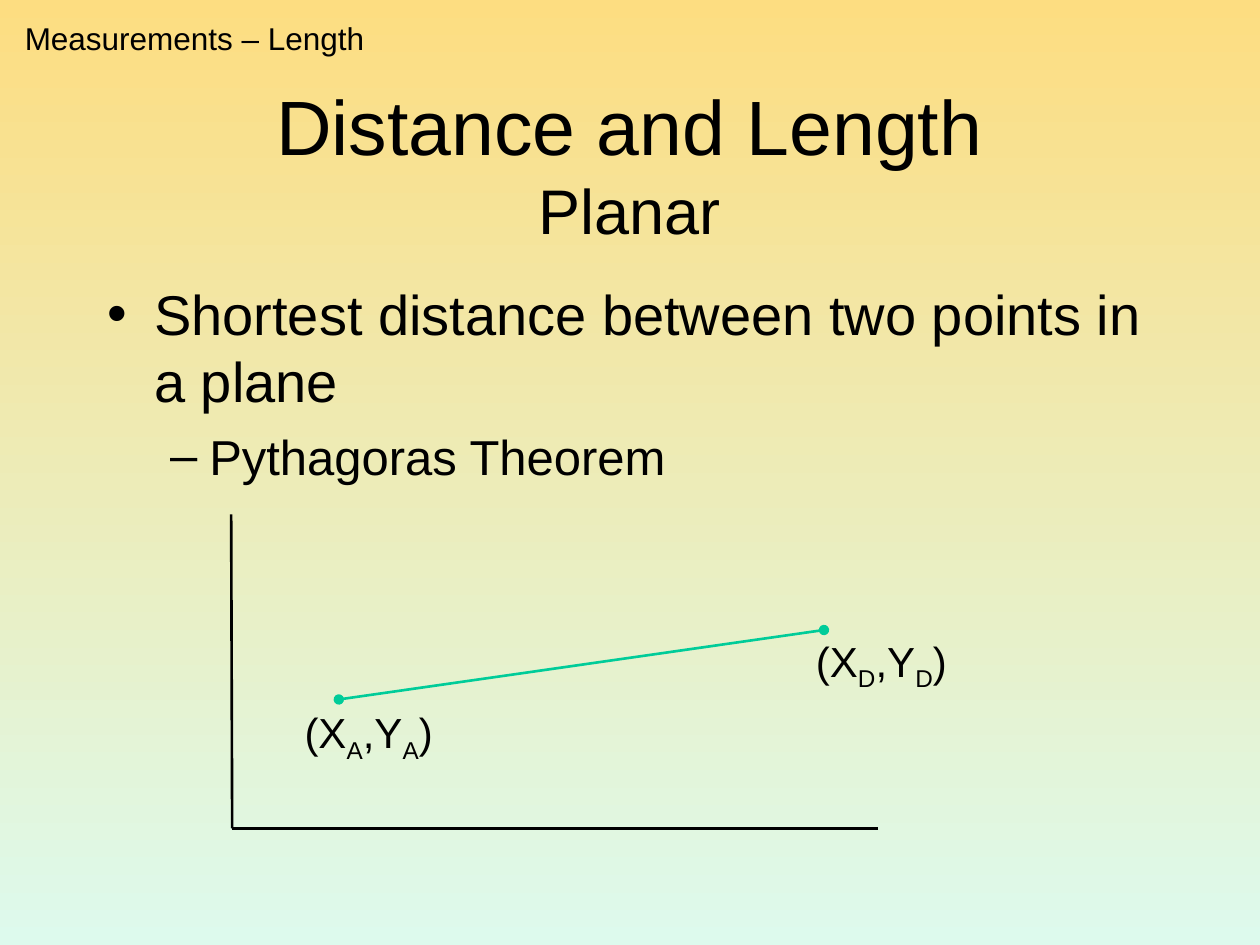
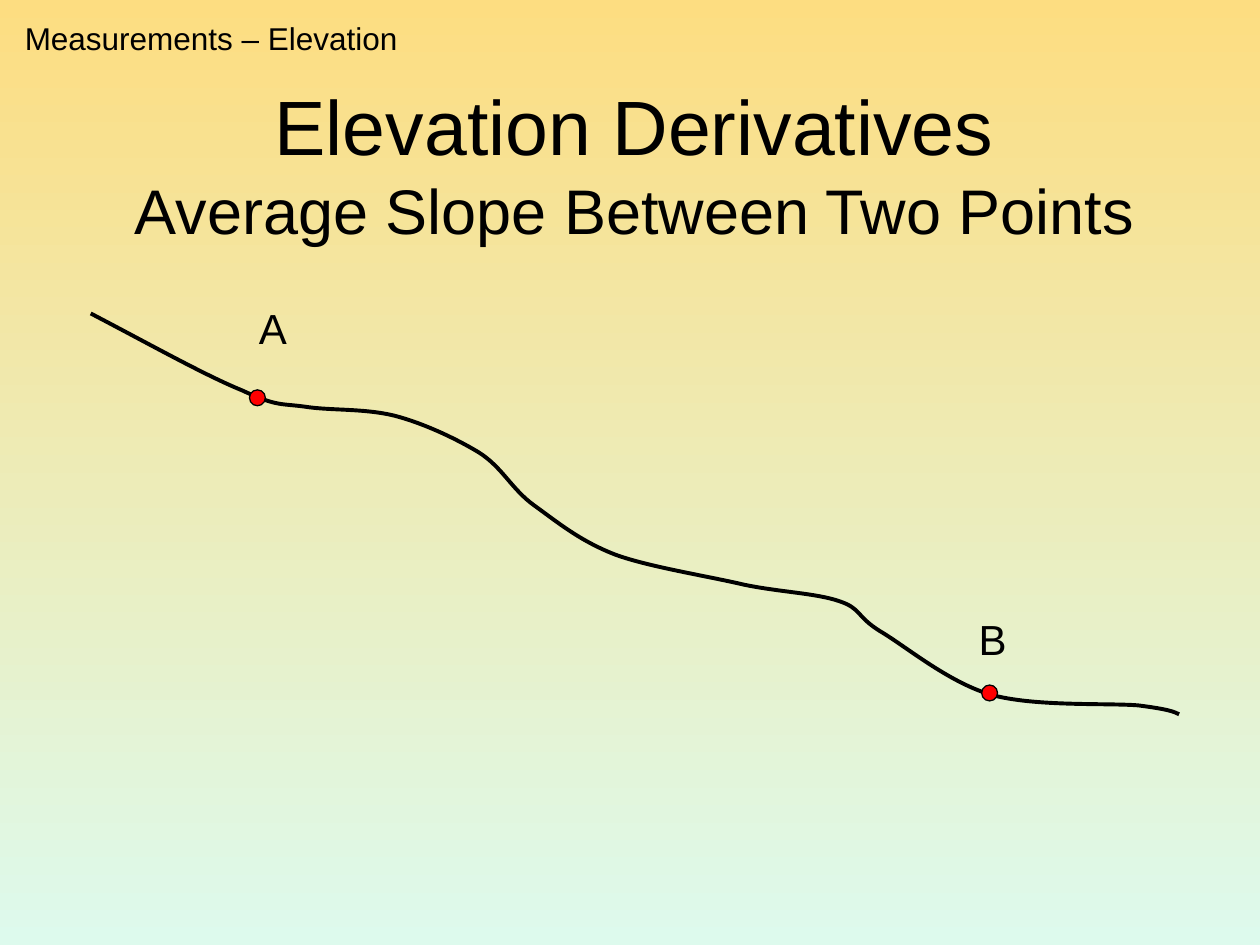
from lxml.etree import SubElement
from pptx import Presentation
from pptx.dml.color import RGBColor
from pptx.enum.shapes import MSO_CONNECTOR, MSO_SHAPE
from pptx.enum.text import MSO_ANCHOR as Anchor, MSO_AUTO_SIZE as AutoSize, PP_ALIGN as Align
from pptx.oxml.ns import qn
from pptx.util import Cm, Pt

# Shared style
BLACK = RGBColor(0x00, 0x00, 0x00)
GREEN = RGBColor(0x00, 0xCC, 0x99)
RED = RGBColor(0xFF, 0x00, 0x00)
SKY_TOP = RGBColor(0xFD, 0xDD, 0x81)
SKY_BOTTOM = RGBColor(0xDD, 0xFA, 0xED)
FONT = "Arial"
TITLE_TOP, TITLE_HEIGHT = 1.69, 3.18
POINT_SIZE = 0.32

# Content; all places and lengths in centimetres
DISTANCE = {
    "section": ("Measurements – Length", 7.38),
    "title": ("Distance and Length", "Planar"),
    "title_span": (1.9, 21.59),
    # text, size, space before, bullet, text margin, hanging indent
    "points": [
        ("Shortest distance between two points in a plane", 32, 8, "•", 0.95, 0.95),
        ("Pythagoras Theorem", 28, 7, "–", 2.06, 0.79),
    ],
    "points_box": (1.91, 5.51, 21.59, 11.43),
    "axes": [((4.66, 10.37), (4.68, 16.7)), ((17.7, 16.7), (4.68, 16.7))],
    "segment": ((6.83, 14.1), (16.61, 12.7)),
    "coordinates": [("A", (5.89, 14.12, 3.1, 1.42)), ("D", (16.2, 12.68, 3.15, 1.42))],
}
SLOPE = {
    "section": ("Measurements – Elevation", 8.03),
    "title": ("Elevation Derivatives", "Average Slope Between Two Points"),
    "title_span": (1.32, 22.94),
    "terrain_start": (1.83, 6.32),
    # two control points and the end point of each bend
    "terrain": [
        ((3.0, 6.93), (4.14, 7.57), (4.88, 7.87)),
        ((5.59, 8.2), (5.64, 8.13), (6.15, 8.2)),
        ((6.65, 8.28), (7.34, 8.23), (7.95, 8.38)),
        ((8.53, 8.53), (9.19, 8.84), (9.65, 9.12)),
        ((10.13, 9.42), (10.31, 9.86), (10.77, 10.19)),
        ((11.23, 10.52), (11.68, 10.9), (12.4, 11.18)),
        ((13.08, 11.43), (14.25, 11.61), (15.01, 11.79)),
        ((15.75, 11.94), (16.46, 11.96), (16.92, 12.12)),
        ((17.37, 12.27), (17.25, 12.42), (17.75, 12.73)),
        ((18.26, 13.03), (19.1, 13.74), (19.96, 14.0)),
        ((20.83, 14.25), (22.3, 14.17), (22.94, 14.22)),
        ((23.57, 14.3), (23.67, 14.35), (23.77, 14.4)),
    ],
    # name, centre of the point, label corner
    "stations": [("A", (5.19, 8.02), (4.97, 5.98)), ("B", (19.95, 13.97), (19.48, 12.25))],
}


def add_run(paragraph, text, size, baseline=0):
    run = paragraph.add_run()
    run.text = text
    run.font.name, run.font.size = FONT, Pt(size)
    run.font.color.rgb = BLACK
    if baseline:
        run._r.get_or_add_rPr().set("baseline", str(baseline * 1000))


def add_text_frame(slide, box, wrap=False, auto_size=AutoSize.SHAPE_TO_FIT_TEXT):
    frame = slide.shapes.add_textbox(*map(Cm, box)).text_frame
    frame.word_wrap, frame.auto_size = wrap, auto_size
    return frame


def add_line(slide, start, end, color, dots=False):
    line = slide.shapes.add_connector(MSO_CONNECTOR.STRAIGHT, *map(Cm, start + end))
    line.line.color.rgb, line.line.width = color, Pt(1.5)
    if dots:
        for tag in ("a:headEnd", "a:tailEnd"):
            SubElement(line.line._get_or_add_ln(), qn(tag), type="oval")
    SubElement(line._element.spPr, qn("a:effectLst"))


def add_topic_slide(deck, topic):
    """Slide with the section tag and the two-line title."""
    slide = deck.slides.add_slide(deck.slide_layouts.get_by_name("Title Only"))
    heading = slide.shapes.title
    left, width = topic["title_span"]
    heading.left, heading.top = Cm(left), Cm(TITLE_TOP)
    heading.width, heading.height = Cm(width), Cm(TITLE_HEIGHT)
    frame = heading.text_frame
    frame.auto_size, frame.vertical_anchor = AutoSize.NONE, Anchor.MIDDLE
    main_title, subtitle = topic["title"]
    paragraph = frame.paragraphs[0]
    paragraph.alignment = Align.CENTER
    add_run(paragraph, main_title, 44)
    paragraph.add_line_break()
    add_run(paragraph, subtitle, 36)

    section, section_width = topic["section"]
    tag = add_text_frame(slide, (0.25, 0.25, section_width, 1.02))
    add_run(tag.paragraphs[0], section, 18)
    return slide


def add_points(slide, points, box):
    frame = add_text_frame(slide, box, True, AutoSize.NONE)
    for level, (text, size, before, bullet, margin, hanging) in enumerate(points):
        paragraph = frame.add_paragraph() if level else frame.paragraphs[0]
        paragraph.level, paragraph.space_before = level, Pt(before)
        properties = paragraph._p.get_or_add_pPr()
        properties.set("marL", str(Cm(margin)))
        properties.set("indent", str(-Cm(hanging)))
        SubElement(properties, qn("a:buFont"), typeface=FONT)
        SubElement(properties, qn("a:buChar"), char=bullet)
        add_run(paragraph, text, size)


def add_curve(slide, start, bends):
    """Freeform through the bend ends, with each side turned into a Bézier bend.

    The start must be the top left corner of the curve.
    """
    outline = slide.shapes.build_freeform(*map(Cm, start))
    outline.add_line_segments([tuple(map(Cm, bend[-1])) for bend in bends], close=False)
    curve = outline.convert_to_shape()
    for side, bend in zip(list(curve._element.iter(qn("a:lnTo"))), bends):
        side.clear()
        bezier = SubElement(side.getparent(), qn("a:cubicBezTo"))
        for x, y in bend:
            SubElement(bezier, qn("a:pt"), x=str(Cm(x) - Cm(start[0])),
                       y=str(Cm(y) - Cm(start[1])))
        side.getparent().replace(side, bezier)
    return curve


def build_distance(deck):
    slide = add_topic_slide(deck, DISTANCE)
    add_points(slide, DISTANCE["points"], DISTANCE["points_box"])
    for start, end in DISTANCE["axes"]:
        add_line(slide, start, end, BLACK)
    for name, box in DISTANCE["coordinates"]:
        label = add_text_frame(slide, box).paragraphs[0]
        for text, baseline in (("(X", 0), (name, -25), (",Y", 0), (name, -25), (")", 0)):
            add_run(label, text, 24, baseline)
    add_line(slide, *DISTANCE["segment"], GREEN, dots=True)


def build_slope(deck):
    slide = add_topic_slide(deck, SLOPE)

    # Terrain profile
    profile = add_curve(slide, SLOPE["terrain_start"], SLOPE["terrain"])
    profile.shadow.inherit = False
    profile.fill.background()
    profile.line.color.rgb, profile.line.width = BLACK, Pt(2.25)

    # Stations on the profile
    for name, (x, y), corner in SLOPE["stations"]:
        half = POINT_SIZE / 2
        dot = slide.shapes.add_shape(
            MSO_SHAPE.OVAL, Cm(x - half), Cm(y - half), Cm(POINT_SIZE), Cm(POINT_SIZE))
        dot.shadow.inherit = False
        dot.fill.solid()
        dot.fill.fore_color.rgb = RED
        dot.line.color.rgb, dot.line.width = BLACK, Pt(0.75)
        label = add_text_frame(slide, corner + (1.14, 1.27), wrap=True).paragraphs[0]
        label.space_before = Pt(15)
        add_run(label, name, 24)


def main():
    deck = Presentation()
    deck.slide_width, deck.slide_height = Cm(25.4), Cm(19.05)

    # Background for every slide, running from top to bottom
    backdrop = deck.slide_master.background.fill
    backdrop.gradient()
    backdrop.gradient_angle = 270
    for stop, color in zip(backdrop.gradient_stops, (SKY_TOP, SKY_BOTTOM)):
        stop.color.rgb = color

    build_distance(deck)
    build_slope(deck)
    deck.save("out.pptx")


if __name__ == "__main__":
    main()
